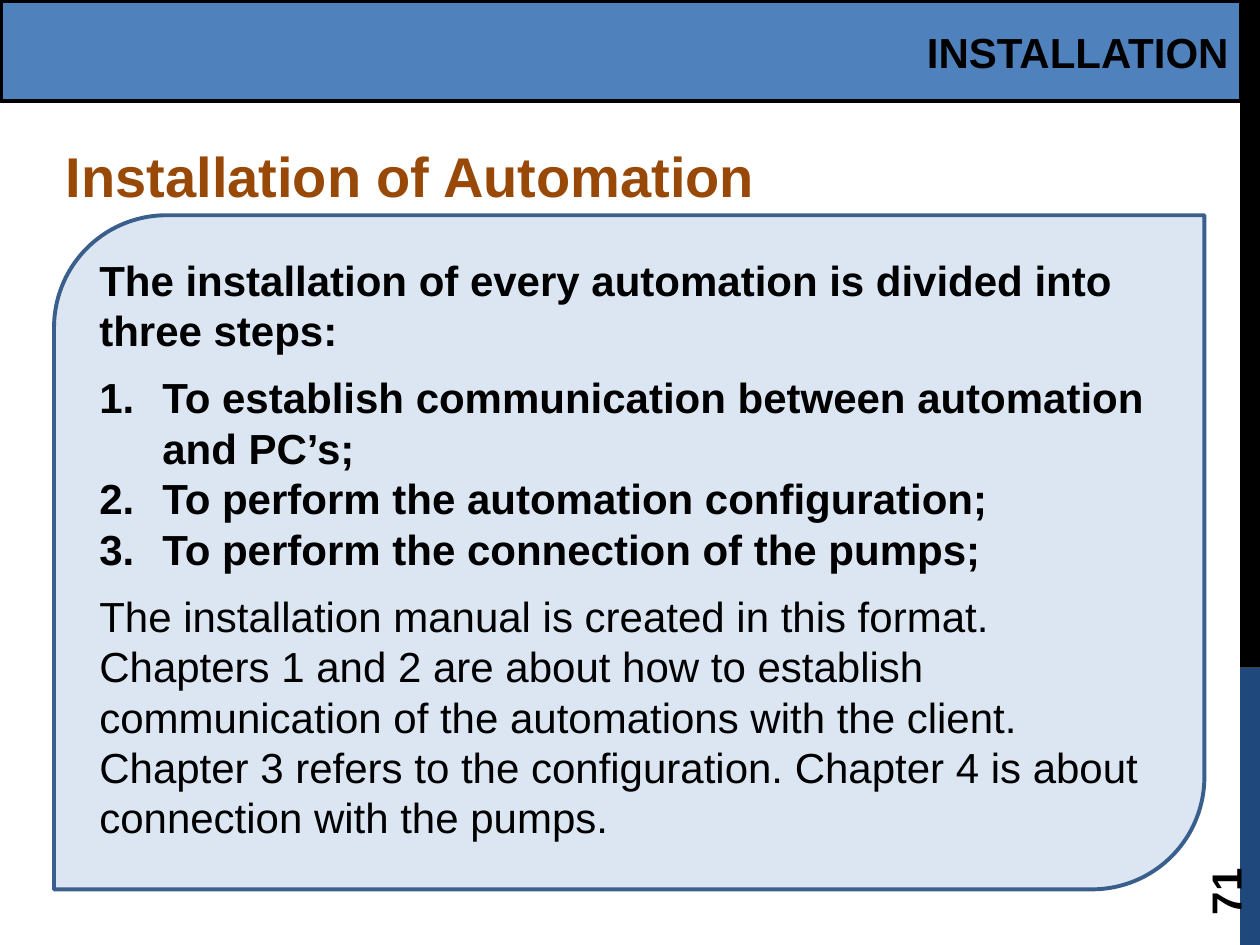
"""Build the slide that introduces the three steps of installing the automation."""
import pptx
import pptx.util
import pptx.dml.color
import pptx.enum.shapes
import pptx.enum.text
import pptx.oxml.ns
import lxml.etree

Cm = pptx.util.Cm
Pt = pptx.util.Pt
RGBColor = pptx.dml.color.RGBColor
SHAPE = pptx.enum.shapes.MSO_SHAPE
ALIGN = pptx.enum.text.PP_ALIGN
ANCHOR = pptx.enum.text.MSO_ANCHOR

BLACK = RGBColor(0x00, 0x00, 0x00)
NAVY = RGBColor(0x1F, 0x49, 0x7D)
BLUE = RGBColor(0x4F, 0x81, 0xBD)
PALE_BLUE = RGBColor(0xDC, 0xE6, 0xF2)
EDGE_BLUE = RGBColor(0x3A, 0x5F, 0x8C)
BROWN = RGBColor(0x98, 0x48, 0x07)


def add_panel(slide, preset, place, fill, edge=None):
    panel = slide.shapes.add_shape(preset, *[Cm(length) for length in place])
    panel.shadow.inherit = False
    panel.fill.solid()
    panel.fill.fore_color.rgb = fill
    if edge is None:
        panel.line.fill.background()
    else:
        panel.line.color.rgb = edge
        panel.line.width = Pt(2.25)
    panel.text_frame.word_wrap = True
    return panel


def write(paragraph, text, size=24, color=BLACK, bold=True, **layout):
    paragraph.text = text
    paragraph.font.color.rgb = color
    for name, value in {"name": "Arial", "size": Pt(size), "bold": bold}.items():
        setattr(paragraph.font, name, value)
    for name, value in {"alignment": ALIGN.LEFT, **layout}.items():
        setattr(paragraph, name, value)


deck = pptx.Presentation()
deck.slide_width, deck.slide_height = Cm(25.4), Cm(19.05)
slide = deck.slides.add_slide(deck.slide_layouts[6])

add_panel(slide, SHAPE.RECTANGLE, (25, 13.46, 0.4, 5.59), NAVY)
add_panel(slide, SHAPE.RECTANGLE, (25, 0, 0.4, 13.46), BLACK)

page_number = slide.shapes.add_textbox(Cm(22.86), Cm(16.36), Cm(3.66), Cm(1.02))
page_number.rotation = 270
page_number.text_frame.word_wrap = True
page_number.text_frame.vertical_anchor = ANCHOR.MIDDLE
write(page_number.text_frame.paragraphs[0], "71")

header = add_panel(slide, SHAPE.RECTANGLE, (0.03, 0.03, 24.99, 2.01), BLUE, BLACK)
header.text_frame.vertical_anchor = ANCHOR.MIDDLE
write(header.text_frame.paragraphs[0], "INSTALLATION", alignment=ALIGN.RIGHT)

title = slide.shapes.add_textbox(Cm(0.46), Cm(2.72), Cm(24.23), Cm(1.63))
title.text_frame.word_wrap = True
title.text_frame.margin_left = Cm(0.87)
write(title.text_frame.paragraphs[0], "Installation of Automation", 32, BROWN,
      line_spacing=Pt(38.4))

overview = add_panel(slide, SHAPE.ROUND_2_DIAG_RECTANGLE,
                     (1.09, 4.34, 23.19, 13.59), PALE_BLUE, EDGE_BLUE)
overview.text_frame.vertical_anchor = ANCHOR.TOP
PITCH = Pt(28.8)
GAP = Pt(9.6)

intro = overview.text_frame.paragraphs[0]
write(intro, "The installation of every automation is divided into three steps:",
      line_spacing=PITCH, space_after=GAP)

steps = [
    "To establish communication between automation and PC’s;",
    "To perform the automation configuration;",
    "To perform the connection of the pumps;",
]
for step_text in steps:
    step = overview.text_frame.add_paragraph()
    properties = step._p.get_or_add_pPr()
    properties.set("marL", str(Cm(1.27)))
    properties.set("indent", str(-Cm(1.27)))
    numbering = lxml.etree.SubElement(properties, pptx.oxml.ns.qn("a:buAutoNum"))
    numbering.set("type", "arabicPeriod")
    write(step, step_text, line_spacing=PITCH)

manual = overview.text_frame.add_paragraph()
write(manual,
      "The installation manual is created in this format. Chapters 1 and 2 are "
      "about how to establish communication of the automations with the client. "
      "Chapter 3 refers to the configuration. Chapter 4 is about connection with "
      "the pumps.",
      bold=False, line_spacing=PITCH, space_before=GAP)

deck.save("out.pptx")
